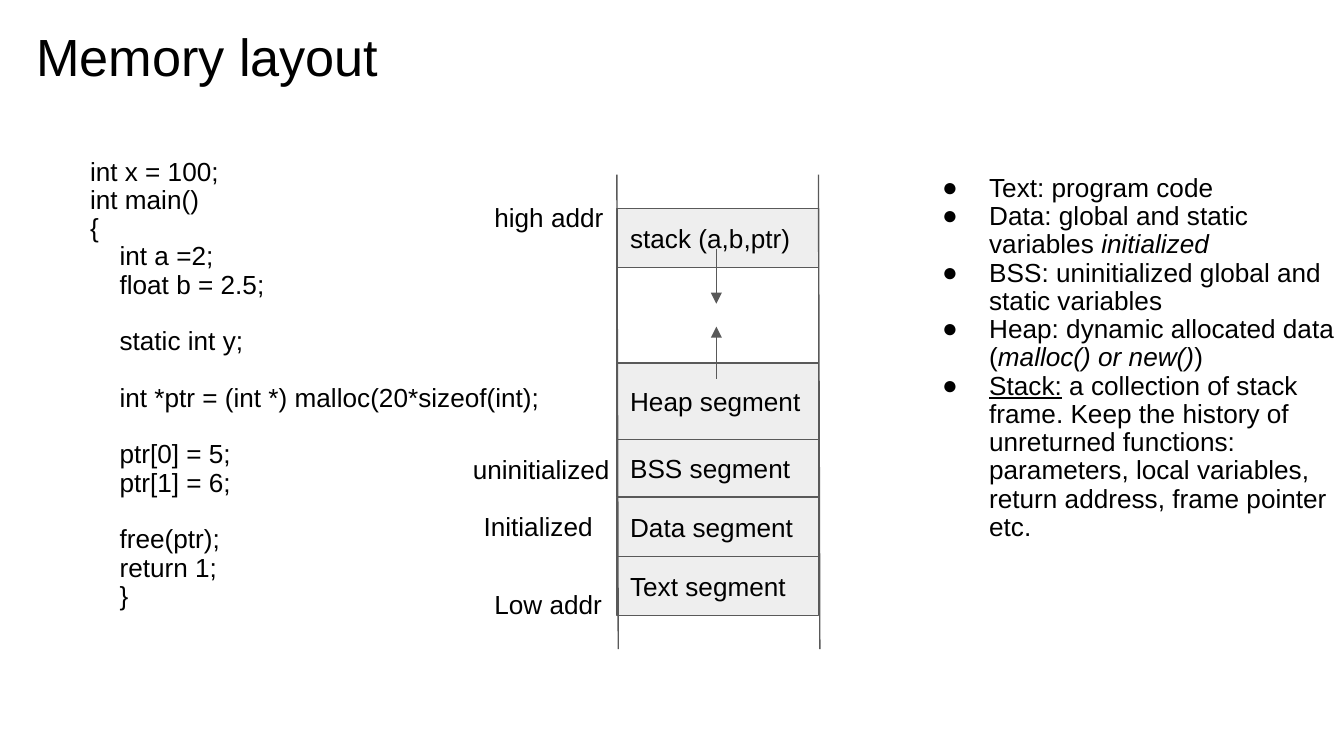
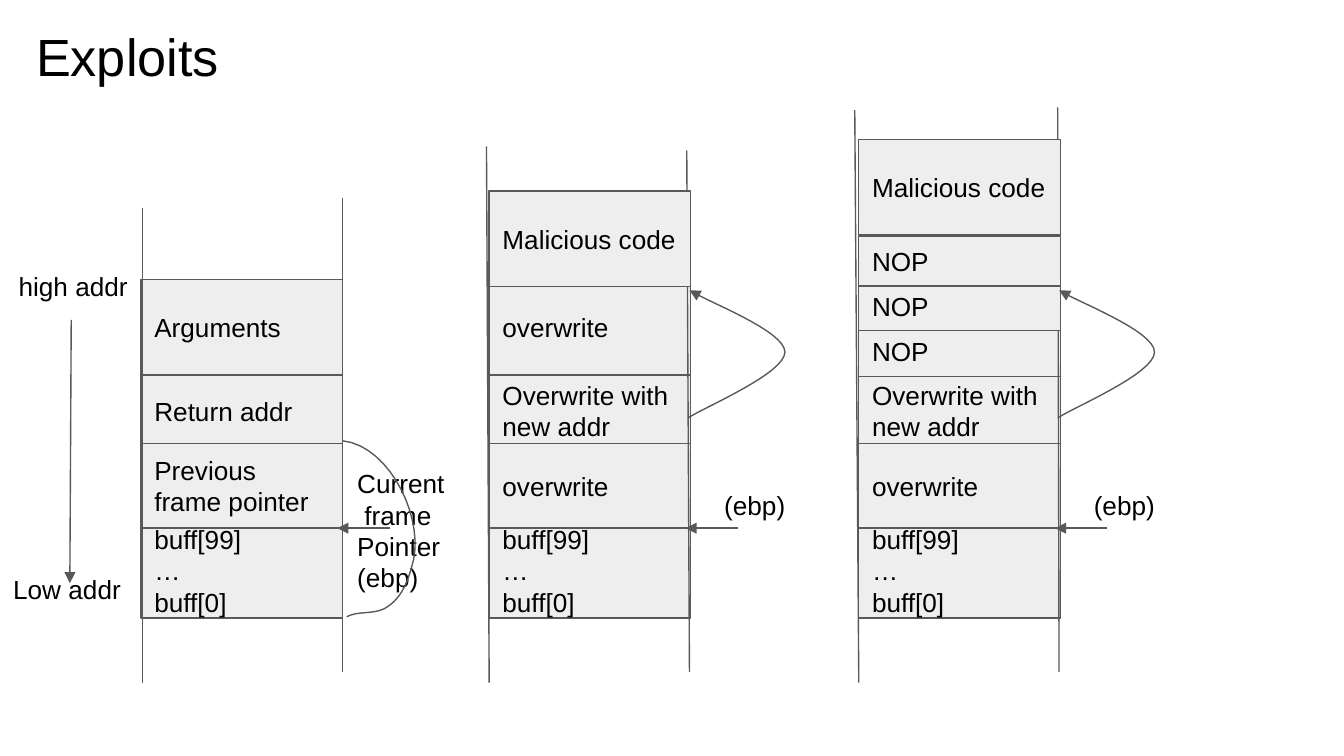
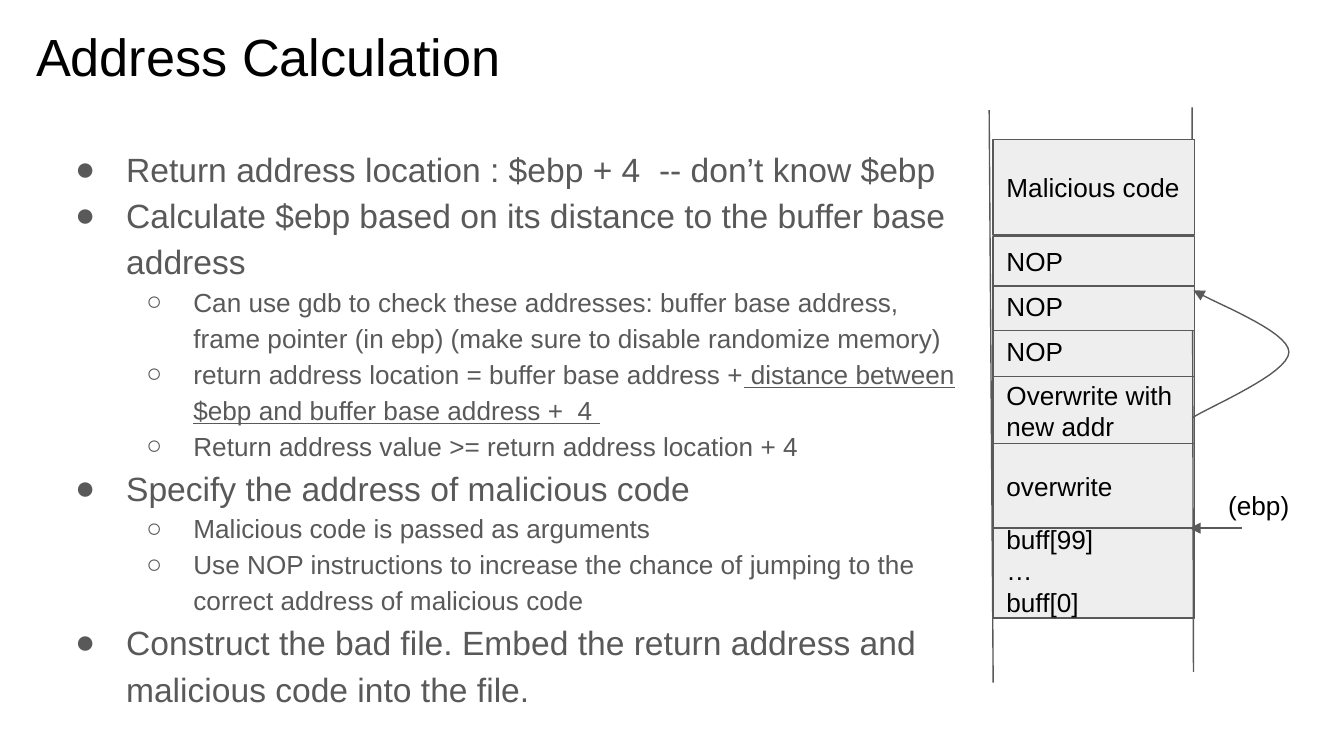
from lxml import etree
from pptx import Presentation
from pptx.dml.color import RGBColor
from pptx.enum.shapes import MSO_CONNECTOR, MSO_SHAPE
from pptx.enum.text import MSO_ANCHOR, PP_ALIGN
from pptx.oxml.ns import qn
from pptx.util import Inches, Pt

RECTANGLE = MSO_SHAPE.RECTANGLE
STRAIGHT = MSO_CONNECTOR.STRAIGHT
MIDDLE = MSO_ANCHOR.MIDDLE
LEFT = PP_ALIGN.LEFT

FONT = "Arial"
BLACK = "000000"
GRAY = "595959"
CELL = "EEEEEE"
WHITE = "FFFFFF"
CELL_WIDTH = 1.5
BASE = 4.6

CODE = [
    (0, 0, "int x = 100;"),
    (0, 0, "int main()"),
    (0, 0, "{"),
    (1, 0, "int a =2;"),
    (1, 0, "float b = 2.5;"),
    (1, 1, "static int y;"),
    (1, 1, "int *ptr = (int *) malloc(20*sizeof(int);"),
    (1, 1, "ptr[0] = 5;"),
    (1, 0, "ptr[1] = 6;"),
    (1, 1, "free(ptr);"),
    (1, 0, "return 1;"),
    (1, 0, "}"),
]

SEGMENTS = [
    ("Text segment", 0.44, CELL),
    ("Data segment", 0.44, CELL),
    ("BSS segment", 0.43, CELL),
    ("Heap segment", 0.57, CELL),
    ("", 0.71, WHITE),
    ("stack (a,b,ptr)", 0.44, CELL),
]

SEGMENT_NOTES = [
    (0, [("Text: program code", "")]),
    (0, [("Data: global and static variables ", ""), ("initialized", "i")]),
    (0, [("BSS: uninitialized global and static variables", "")]),
    (0, [("Heap: dynamic allocated data (", ""), ("malloc() or new()", "i"), (")", "")]),
    (0, [("Stack:", "u"),
         (" a collection of stack frame. Keep the history of unreturned functions: "
          "parameters, local variables, return address, frame pointer etc.", "")]),
]

ADDRESS_NOTES = [
    (0, [("Return address location : $ebp + 4  -- don’t know $ebp", "")]),
    (0, [("Calculate $ebp based on its distance to the buffer base address", "")]),
    (1, [("Can use gdb to check these addresses: buffer base address, frame pointer "
          "(in ebp) (make sure to disable randomize memory)", "")]),
    (1, [("return address location = buffer base address +", ""),
         (" distance between $ebp and buffer base address +  4 ", "u")]),
    (1, [("Return address value >= return address location + 4", "")]),
    (0, [("Specify the address of malicious code", "")]),
    (1, [("Malicious code is passed as arguments", "")]),
    (1, [("Use NOP instructions to increase the chance of jumping to the correct "
          "address of malicious code", "")]),
    (0, [("Construct the bad file. Embed the return address and malicious code "
          "into the file.", "")]),
]

BUFFER = ("buff[99]\n…\nbuff[0]", 0.71, 0.71)
NEW_RETURN = ("Overwrite with new addr", 1.83, 0.57)
LOST_POINTER = ("overwrite", 1.3, 0.63)

NORMAL_FRAME = {
    "lower": [BUFFER, ("Return addr", 1.83, 0.57), ("Arguments", 2.52, 0.71),
              ("Previous frame pointer", 1.3, 0.63)],
    "rails": [(1.5, 3.13, 1.5, -0.4), (0.01, 3.05, 0.01, -0.48)],
    "upper": [],
}
OVERWRITTEN_FRAME = {
    "lower": [BUFFER, NEW_RETURN, ("overwrite", 2.52, 0.71), LOST_POINTER],
    "rails": [(1.47, 3.48, 1.49, -0.4), (-0.02, 3.51, 0, -0.48)],
    "upper": [("Malicious code", 3.18, 0.71)],
}
NOP_FRAME = {
    "lower": [BUFFER, NEW_RETURN, ("NOP", 2.17, 0.37), LOST_POINTER],
    "rails": [(1.48, 3.8, 1.49, -0.4), (-0.03, 3.78, 0, -0.48)],
    "upper": [("Malicious code", 3.56, 0.71), ("NOP", 2.51, 0.37), ("NOP", 2.84, 0.37)],
}

RETURN_JUMP = [(1.48, 1.49), (1.6, 1.57), (2.2, 1.82), (2.2, 1.98),
               (2.2, 2.14), (1.61, 2.36), (1.49, 2.44)]
FRAME_SPAN = [(1.5, 1.32), (1.86, 1.28), (2.13, 0.71), (2.01, 0.37),
              (1.98, 0.26), (1.93, 0.15), (1.84, 0.09),
              (1.75, 0.02), (1.62, 0.06), (1.53, 0.01)]


def color(value):
    return RGBColor.from_string(value)


def style_run(run, size, tone=BLACK):
    run.font.name = FONT
    run.font.size = Pt(size)
    run.font.color.rgb = color(tone)


def set_insets(frame, inset):
    frame.word_wrap = True
    frame.margin_left = frame.margin_right = Inches(inset)
    frame.margin_top = frame.margin_bottom = Inches(inset)


def write(frame, text, size=14):
    set_insets(frame, 0.1)
    frame.text = text
    for paragraph in frame.paragraphs:
        paragraph.alignment = LEFT
        for run in paragraph.runs:
            style_run(run, size)


def add_frame(slide, left, top, width, height):
    box = slide.shapes.add_textbox(Inches(left), Inches(top), Inches(width), Inches(height))
    return box.text_frame


def add_label(slide, text, left, top, width=1.24, height=0.44, size=14):
    write(add_frame(slide, left, top, width, height), text, size)


def add_cell(slide, text, left, top, height, fill=CELL):
    cell = slide.shapes.add_shape(
        RECTANGLE, Inches(left), Inches(top), Inches(CELL_WIDTH), Inches(height))
    cell.shadow.inherit = False
    cell.fill.solid()
    cell.fill.fore_color.rgb = color(fill)
    cell.line.color.rgb = color(GRAY)
    cell.line.width = Pt(0.75)
    if text:
        write(cell.text_frame, text)
        cell.text_frame.vertical_anchor = MIDDLE


def style_stroke(stroke, arrow):
    stroke.line.color.rgb = color(GRAY)
    stroke.line.width = Pt(0.75)
    properties = stroke.element.spPr
    if arrow:
        etree.SubElement(properties.find(qn("a:ln")), qn("a:tailEnd"), type="triangle")
    if properties.find(qn("a:effectLst")) is None:
        etree.SubElement(properties, qn("a:effectLst"))


def add_line(slide, x1, y1, x2, y2, arrow=False):
    line = slide.shapes.add_connector(
        STRAIGHT, Inches(x1), Inches(y1), Inches(x2), Inches(y2))
    style_stroke(line, arrow)


def bezier(points, t):
    weights = ((1 - t) ** 3, 3 * t * (1 - t) ** 2, 3 * t ** 2 * (1 - t), t ** 3)
    return tuple(sum(w * p[axis] for w, p in zip(weights, points)) for axis in (0, 1))


def add_curve(slide, left, base, points, arrow=False, steps=16):
    bends = [bezier(points[start:start + 4], step / steps)
             for start in range(0, len(points) - 1, 3)
             for step in range(1, steps + 1)]
    track = [(Inches(left + x), Inches(base - up)) for x, up in [points[0]] + bends]
    builder = slide.shapes.build_freeform(*track[0])
    builder.add_line_segments(track[1:], close=False)
    curve = builder.convert_to_shape()
    curve.fill.background()
    style_stroke(curve, arrow)


def set_indent(paragraph, margin, hanging=0):
    properties = paragraph._p.get_or_add_pPr()
    properties.set("marL", str(Inches(margin)))
    properties.set("indent", str(-Inches(hanging)))
    return properties


def add_bullets(slide, box, items, sizes, spacing, tone, inset):
    frame = add_frame(slide, *box)
    set_insets(frame, inset)
    for index, (level, parts) in enumerate(items):
        paragraph = frame.paragraphs[0] if index == 0 else frame.add_paragraph()
        paragraph.level = level
        paragraph.line_spacing = spacing
        size = sizes[level]
        properties = set_indent(paragraph, 0.5 + 0.5 * level, 0.38 if size == 18 else 0.35)
        tint = etree.SubElement(properties, qn("a:buClr"))
        etree.SubElement(tint, qn("a:srgbClr"), val=tone)
        etree.SubElement(properties, qn("a:buFont"), typeface=FONT)
        etree.SubElement(properties, qn("a:buChar"), char="●○"[level])
        for text, emphasis in parts:
            run = paragraph.add_run()
            run.text = text
            style_run(run, size, tone)
            run.font.italic = emphasis == "i"
            run.font.underline = emphasis == "u"


def add_code(slide, left, top, width, height):
    frame = add_frame(slide, left, top, width, height)
    set_insets(frame, 0)
    for index, (depth, gap, text) in enumerate(CODE):
        paragraph = frame.paragraphs[0] if index == 0 else frame.add_paragraph()
        paragraph.text = text
        paragraph.line_spacing = 0.9
        paragraph.space_before = Pt(15.2 * gap)
        set_indent(paragraph, 0.5 + 0.22 * depth)
        style_run(paragraph.runs[0], 14)


def add_memory_map(slide, left, base):
    top = base
    for name, height, fill in SEGMENTS:
        top -= height
        add_cell(slide, name, left, top, height, fill)
    middle = left + 0.74
    add_line(slide, middle, base - 2.73, middle, base - 2.32, arrow=True)
    add_line(slide, middle, base - 1.76, middle, base - 2.15, arrow=True)
    for side in (left, left + CELL_WIDTH):
        add_line(slide, side, base - 3.28, side + 0.01, base + 0.25)
    for text, shift, up in (("Low addr", 1.01, 0.3), ("high addr", 1.01, 3.18),
                            ("Initialized", 1.09, 0.88), ("uninitialized", 1.17, 1.31)):
        add_label(slide, text, left - shift, base - up)


def add_stack_frame(slide, layout, left, base=BASE):
    for text, up, height in layout["lower"]:
        add_cell(slide, text, left, base - up, height)
    add_line(slide, left + 1.85, base - 0.67, left + 1.46, base - 0.67, arrow=True)
    for x1, up1, x2, up2 in layout["rails"]:
        add_line(slide, left + x1, base - up1, left + x2, base - up2)
    for text, up, height in layout["upper"]:
        add_cell(slide, text, left, base - up, height)


def add_attacked_frame(slide, layout, left, base=BASE):
    add_stack_frame(slide, layout, left, base)
    add_label(slide, "(ebp)", left + 1.65, base - 1.06, width=0.9)
    add_curve(slide, left, base, RETURN_JUMP, arrow=True)


def add_current_frame(slide, left, base=BASE):
    add_stack_frame(slide, NORMAL_FRAME, left, base)
    add_label(slide, "Low addr", left - 1.05, base - 0.43)
    add_label(slide, "high addr", left - 1.01, base - 2.69)
    add_line(slide, left - 0.52, base - 2.22, left - 0.53, base - 0.26, arrow=True)
    add_label(slide, "Current\v frame \vPointer\v(ebp)", left + 1.51, base - 1.22, height=0.71)
    add_curve(slide, left, base, FRAME_SPAN)


def new_slide(deck, title):
    slide = deck.slides.add_slide(deck.slide_layouts[6])
    slide.background.fill.solid()
    slide.background.fill.fore_color.rgb = color(WHITE)
    add_label(slide, title, 0.17, 0.08, 9.32, 0.63, size=28)
    return slide


def memory_layout(deck):
    slide = new_slide(deck, "Memory layout")
    add_memory_map(slide, 4.59, 4.58)
    add_bullets(slide, (6.86, 1.3, 3.12, 4.13), SEGMENT_NOTES, (14,), 0.9, BLACK, 0)
    add_code(slide, 0.17, 1.18, 3.96, 4.13)


def exploits(deck):
    slide = new_slide(deck, "Exploits")
    add_current_frame(slide, 1.05)
    add_attacked_frame(slide, OVERWRITTEN_FRAME, 3.64)
    add_attacked_frame(slide, NOP_FRAME, 6.39)


def address_calculation(deck):
    slide = new_slide(deck, "Address Calculation")
    add_bullets(slide, (0.34, 0.96, 6.91, 4.04), ADDRESS_NOTES, (18, 14), 1.15, GRAY, 0.1)
    add_attacked_frame(slide, NOP_FRAME, 7.39)


def main():
    deck = Presentation()
    deck.slide_width = Inches(10)
    deck.slide_height = deck.slide_width * 9 // 16
    memory_layout(deck)
    exploits(deck)
    address_calculation(deck)
    deck.save("out.pptx")


if __name__ == "__main__":
    main()
